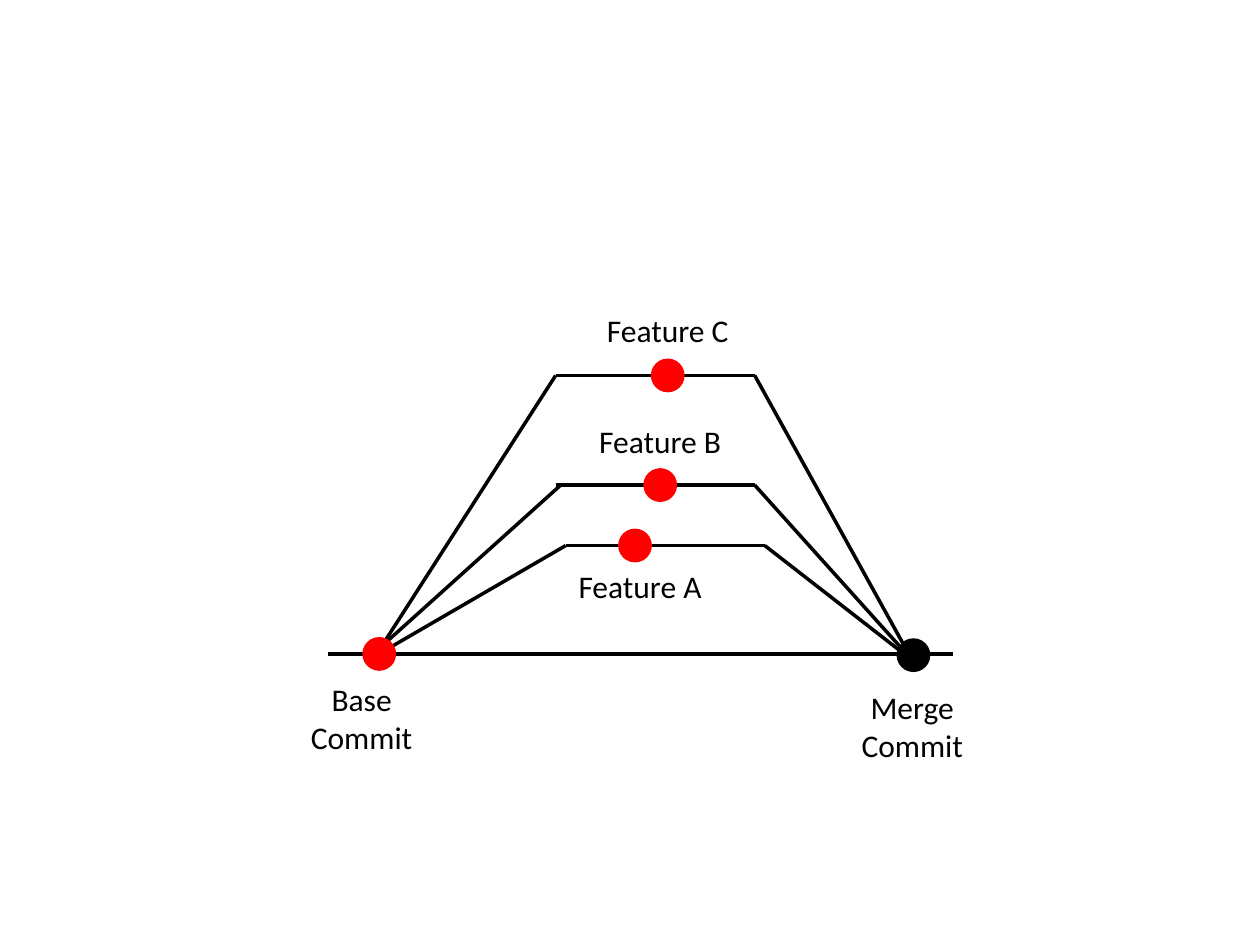
import pptx
import pptx.util
import pptx.dml.color
import pptx.enum.shapes
import pptx.enum.text
from pptx.util import Inches


def color(value):
    return pptx.dml.color.RGBColor.from_string(value)


def add_line(x1, y1, x2, y2):
    line = s.shapes.add_connector(
        pptx.enum.shapes.MSO_CONNECTOR.STRAIGHT,
        Inches(x1), Inches(y1), Inches(x2), Inches(y2))
    line.line.color.rgb = color("000000")
    line.line.width = pptx.util.Pt(2)
    pr = line._element.spPr
    pr.append(pr.makeelement(pptx.oxml.ns.qn("a:effectLst"), {}))


prs = pptx.Presentation()
prs.slide_width, prs.slide_height = Inches(10), Inches(7.5)
s = prs.slides.add_slide(prs.slide_layouts[6])

merge = (7.24, 5.24)
add_line(2.6, 5.19, 7.56, 5.19)
branches = [
    (2.99, 5.2, 4.49, 4.49, 6.07, 4.33),
    (2.95, 5.2, 4.45, 4.41, 5.99, 3.85),
    (2.99, 5.19, 4.41, 4.41, 5.99, 2.98),
]
for base_x, base_y, rise_x, left, right, y in branches:
    add_line(base_x, base_y, rise_x, y)
    add_line(left, y, right, y)
    add_line(*merge, right, y)

commits = [
    (7.13, 5.08, "000000"),
    (2.89, 5.07, "FF0000"),
    (4.92, 4.21, "FF0000"),
    (5.12, 3.73, "FF0000"),
    (5.18, 2.86, "FF0000"),
]
for x, y, fill in commits:
    sp = s.shapes.add_shape(
        pptx.enum.shapes.MSO_SHAPE.OVAL,
        Inches(x), Inches(y), Inches(0.24), Inches(0.24))
    sp.shadow.inherit = False
    sp.fill.solid()
    sp.fill.fore_color.rgb = color(fill)
    sp.line.color.rgb = color(fill)
    sp.line.width = pptx.util.Pt(2)

labels = [
    ("Base Commit", 2.36, 5.35, 1.02, 0.71),
    ("Merge Commit", 6.73, 5.41, 1.02, 0.71),
    ("Feature A", 4.49, 4.45, 1.18, 0.4),
    ("Feature B", 4.65, 3.3, 1.18, 0.4),
    ("Feature C", 4.71, 2.42, 1.18, 0.4),
]
font = {"name": "Calibri", "size": pptx.util.Pt(18)}
for text, *box in labels:
    tf = s.shapes.add_textbox(*map(Inches, box)).text_frame
    tf.word_wrap = True
    tf.auto_size = pptx.enum.text.MSO_AUTO_SIZE.SHAPE_TO_FIT_TEXT
    p = tf.paragraphs[0]
    p.alignment = pptx.enum.text.PP_ALIGN.CENTER
    r = p.add_run()
    r.text = text
    for key, value in font.items():
        setattr(r.font, key, value)
    r.font.color.rgb = color("000000")

prs.save("out.pptx")
